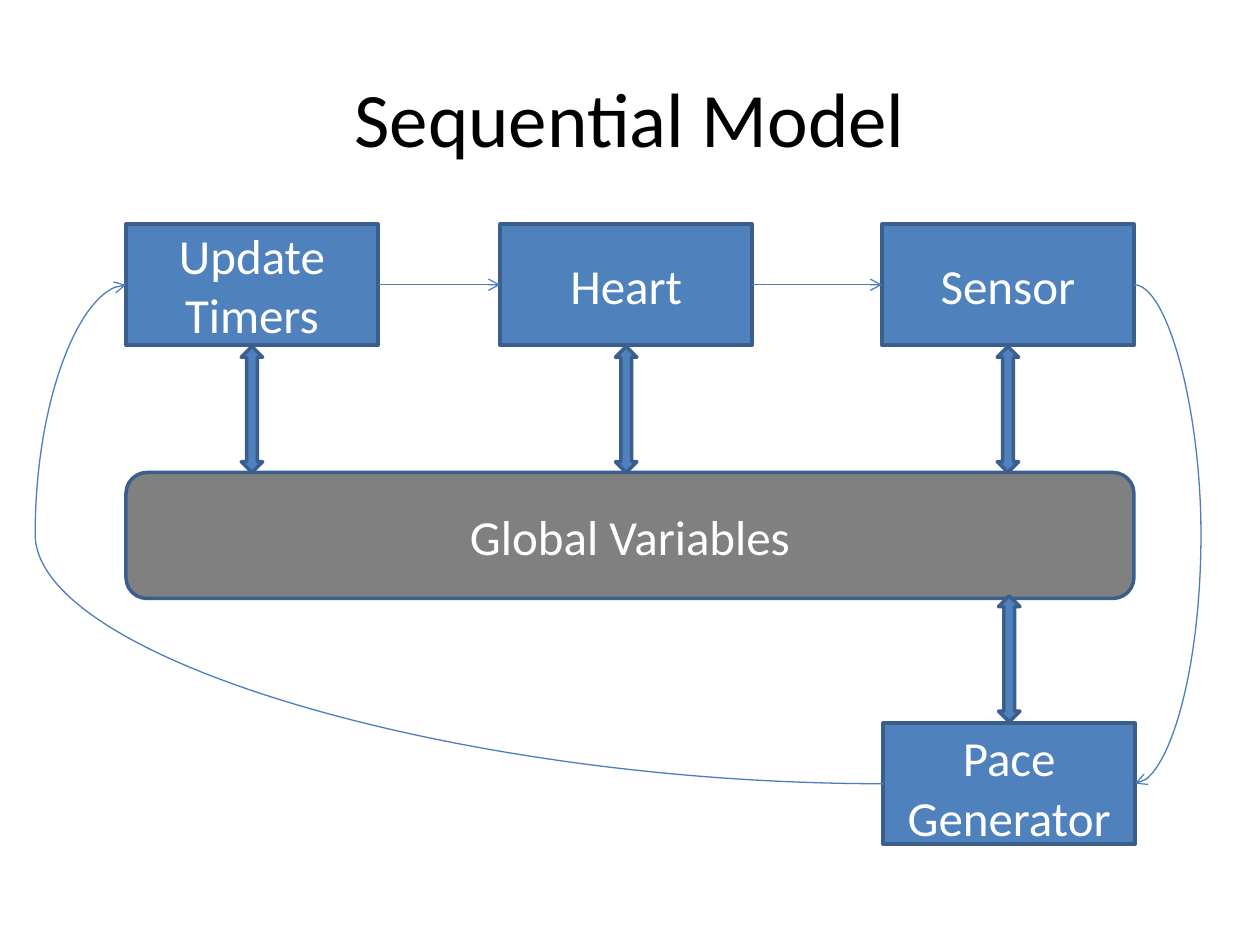
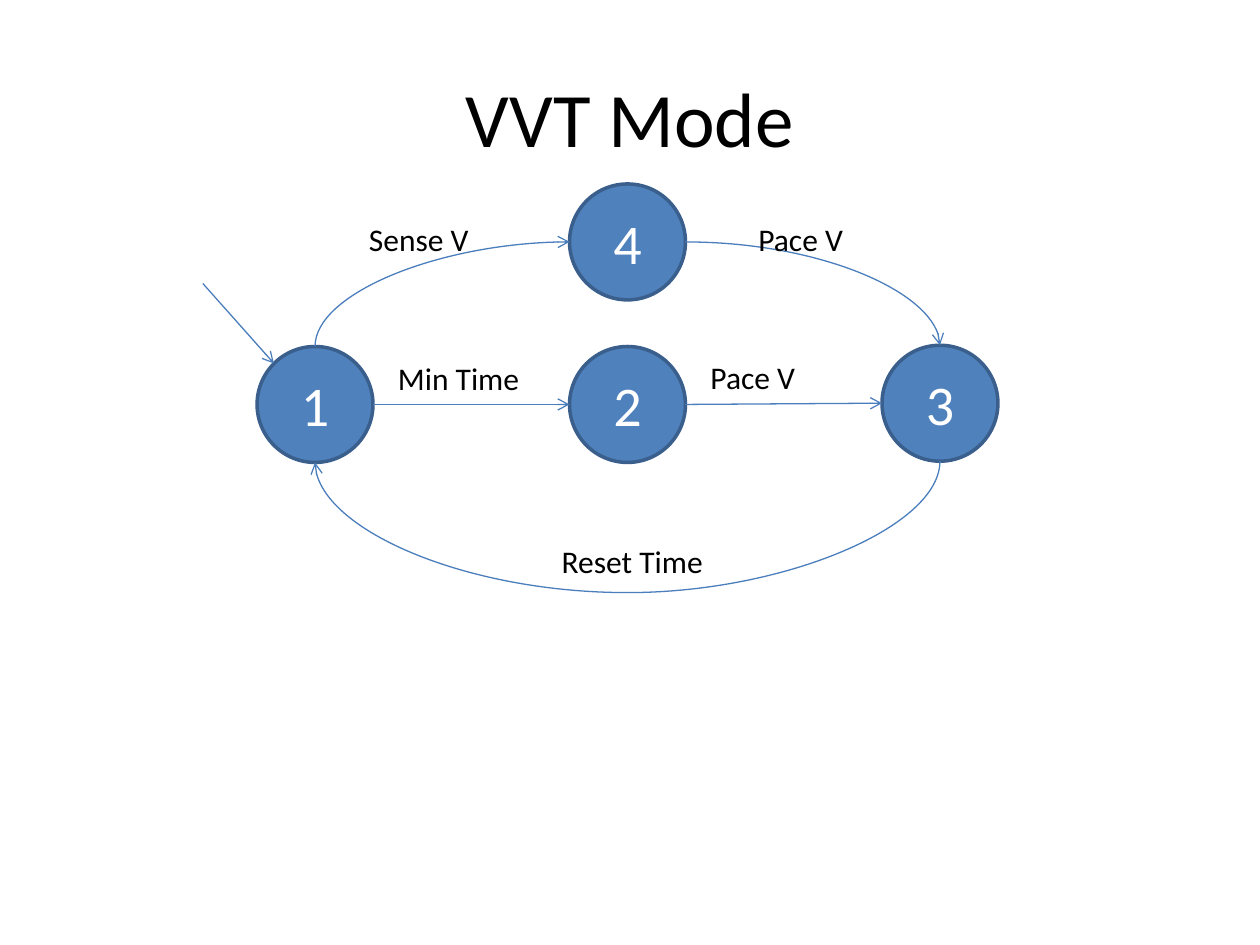
from lxml import etree
from pptx import Presentation
from pptx.dml.color import RGBColor
from pptx.enum.shapes import MSO_CONNECTOR, MSO_SHAPE
from pptx.enum.text import MSO_ANCHOR, MSO_AUTO_SIZE, PP_ALIGN
from pptx.oxml.ns import qn
from pptx.util import Inches, Pt

BLUE = RGBColor(0x4F, 0x81, 0xBD)
EDGE = RGBColor(0x3A, 0x5F, 0x8C)
LINK = RGBColor(0x4B, 0x7E, 0xBC)
GRAY = RGBColor(0x80, 0x80, 0x80)
WHITE = RGBColor(0xFF, 0xFF, 0xFF)
BLACK = RGBColor(0x00, 0x00, 0x00)
FONT = "Calibri"

PROCESS = MSO_SHAPE.FLOWCHART_PROCESS
STORE = MSO_SHAPE.FLOWCHART_ALTERNATE_PROCESS
CIRCLE = MSO_SHAPE.OVAL
UP_DOWN = MSO_SHAPE.UP_DOWN_ARROW
CURVE = MSO_CONNECTOR.CURVE
CENTER, LEFT = PP_ALIGN.CENTER, PP_ALIGN.LEFT
MIDDLE, TOP = MSO_ANCHOR.MIDDLE, MSO_ANCHOR.TOP
GROW = MSO_AUTO_SIZE.SHAPE_TO_FIT_TEXT

# Share of width, share of height, site on a box, site on a circle
SIDES = {
    "top": (0.5, 0, 0, 0),
    "left": (0, 0.5, 1, 2),
    "bottom": (0.5, 1, 2, 4),
    "right": (1, 0.5, 3, 6),
    "top left": (0.146, 0.146, None, 1),
}


def write(frame, *parts, size=28, color=WHITE, align=CENTER, anchor=MIDDLE):
    frame.word_wrap = True
    frame.vertical_anchor = anchor
    paragraph = frame.paragraphs[0]
    paragraph.alignment = align
    for part in parts:
        if part == "\n":
            paragraph.add_line_break()
            continue
        run = paragraph.add_run()
        run.text = part
        run.font.name, run.font.size = FONT, Pt(size)
        run.font.color.rgb = color
    return paragraph


def link(slide, start, end, kind="straightConnector1", turn=0, flip=False, bulge=None):
    """Draw an arrow between two (node, side) pairs; a start without node is a point."""
    points, sites = [], []
    for node, side in (start, end):
        if node is None:
            points += [Inches(v) for v in side]
            continue
        across, down, box_site, circle_site = SIDES[side]
        points += [int(node.left + across * node.width), int(node.top + down * node.height)]
        site = circle_site if node.auto_shape_type == CIRCLE else box_site
        sites.append(("a:stCxn" if (node, side) == start else "a:endCxn", node, site))
    arrow = slide.shapes.add_connector(CURVE, *points)
    properties = arrow._element.spPr
    x1, y1, x2, y2 = points

    # A turned arrow keeps its centre; a quarter turn swaps width and height
    if turn:
        width, height = abs(x2 - x1), abs(y2 - y1)
        if turn == 90:
            width, height = height, width
        arrow.left, arrow.top = (x1 + x2 - width) // 2, (y1 + y2 - height) // 2
        arrow.width, arrow.height = width, height
        frame = properties.find(qn("a:xfrm"))
        frame.set("rot", str(turn * 60000))
        for axis in ("flipH", "flipV"):
            frame.set(axis, str(int(flip)))

    geometry = properties.find(qn("a:prstGeom"))
    geometry.set("prst", kind)
    if bulge:
        guides = geometry.find(qn("a:avLst"))
        if guides is None:
            guides = etree.SubElement(geometry, qn("a:avLst"))
        share = round(Inches(bulge) / arrow.width * 100000)
        etree.SubElement(guides, qn("a:gd"), name="adj1", fmla=f"val {share}")

    glue = arrow._element.find(qn("p:nvCxnSpPr")).find(qn("p:cNvCxnSpPr"))
    for tag, node, site in sites:
        etree.SubElement(glue, qn(tag), id=str(node.shape_id), idx=str(site))

    arrow.line.color.rgb = LINK
    arrow.line.width = Pt(0.75)
    etree.SubElement(arrow.line._get_or_add_ln(), qn("a:tailEnd"), type="arrow")
    etree.SubElement(properties, qn("a:effectLst"))


deck = Presentation()
deck.slide_width, deck.slide_height = Inches(10), Inches(7.5)

# Both slides: centred title
slides = []
for heading in ("Sequential Model", "VVT Mode"):
    slide = deck.slides.add_slide(deck.slide_layouts[5])
    title = slide.shapes.title
    title.left, title.top, title.width, title.height = map(Inches, (0.5, 0.3, 9, 1.25))
    write(title.text_frame, heading, size=44, color=BLACK)
    slides.append(slide)
sequence, modes = slides

# Nodes of both slides: slide, shape, left, top, width, height, fill, size, text
BOX_W, BOX_H = 2, 0.96
COLUMNS = (1, 3.97, 7)
ROW, STORE_TOP, PACE_LEFT, PACE_TOP = 1.78, 3.75, 7.01, 5.74
STATE, STATE_LEFT, STATE_STEP = 0.92, 2.04, 2.48
ARROW_W, ARROW_H = 0.17, 1

boxes = [
    (COLUMNS[0], ROW, ("Update", "\n", "Timers")),
    (COLUMNS[1], ROW, ("Heart",)),
    (COLUMNS[2], ROW, ("Sensor",)),
    (PACE_LEFT, PACE_TOP, ("Pace", " ", "Generator")),
]
states = [(0, 2.75, "1"), (1, 2.75, "2"), (2, 2.74, "3"), (1, 1.46, "4")]
exchanges = [(left, ROW + BOX_H + 0.01) for left in COLUMNS] + [(PACE_LEFT, 4.73)]

plan = [(sequence, PROCESS, x, y, BOX_W, BOX_H, BLUE, 28, text) for x, y, text in boxes]
plan.append((sequence, STORE, 1, STORE_TOP, 8, 1, GRAY, 28, ("Global Variables",)))
plan += [(sequence, UP_DOWN, x + (BOX_W - ARROW_W) / 2, y, ARROW_W, ARROW_H, BLUE, 28, ())
         for x, y in exchanges]
plan += [(modes, CIRCLE, STATE_LEFT + column * STATE_STEP, y, STATE, STATE, BLUE, 32, (text,))
         for column, y, text in states]

nodes = {}
for slide, outline, x, y, w, h, fill, size, text in plan:
    node = slide.shapes.add_shape(outline, Inches(x), Inches(y), Inches(w), Inches(h))
    node.shadow.inherit = False
    node.fill.solid()
    node.fill.fore_color.rgb = fill
    node.line.color.rgb = EDGE
    node.line.width = Pt(2)
    if text:
        paragraph = write(node.text_frame, *text, size=size)
        nodes[text[0]] = node
        if " " in text:
            paragraph.runs[1].font.size = Pt(32)

# Sequential model: order of the steps
update, heart, sensor, pace = (nodes[name] for name in ("Update", "Heart", "Sensor", "Pace"))
link(sequence, (update, "right"), (heart, "left"))
link(sequence, (heart, "right"), (sensor, "left"))
link(sequence, (sensor, "right"), (pace, "right"), "curvedConnector3", bulge=0.54)
link(sequence, (pace, "left"), (update, "left"), "curvedConnector3", turn=180, bulge=6.73)

# VVT mode: transitions
one, two, three, four = (nodes[name] for name in "1234")
link(modes, (None, (1.61, 2.25)), (one, "top left"))
link(modes, (one, "right"), (two, "left"))
link(modes, (two, "right"), (three, "left"))
link(modes, (three, "bottom"), (one, "bottom"), "curvedConnector3", turn=90, bulge=1.06)
link(modes, (one, "top"), (four, "left"), "curvedConnector2", turn=90, flip=True)
link(modes, (four, "right"), (three, "top"), "curvedConnector2")

# VVT mode: transition labels
for x, y, text in [(3.06, 2.8, "Min Time"), (5.54, 2.79, "Pace V"), (4.36, 4.25, "Reset Time"),
                   (2.83, 1.7, "Sense V"), (5.92, 1.7, "Pace V")]:
    label = modes.shapes.add_textbox(Inches(x), Inches(y), Inches(1.35), Inches(0.4))
    label.text_frame.auto_size = GROW
    write(label.text_frame, text, size=18, color=BLACK, align=LEFT, anchor=TOP)

deck.save("out.pptx")
